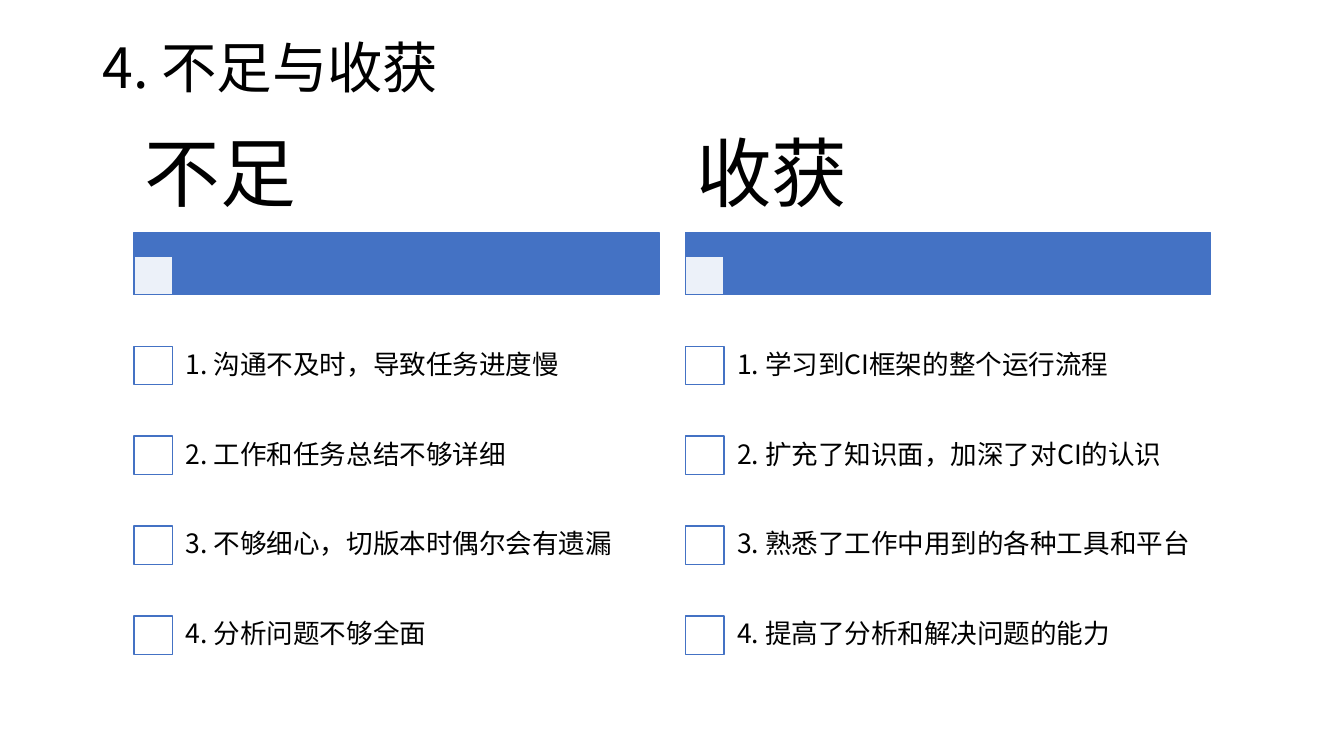
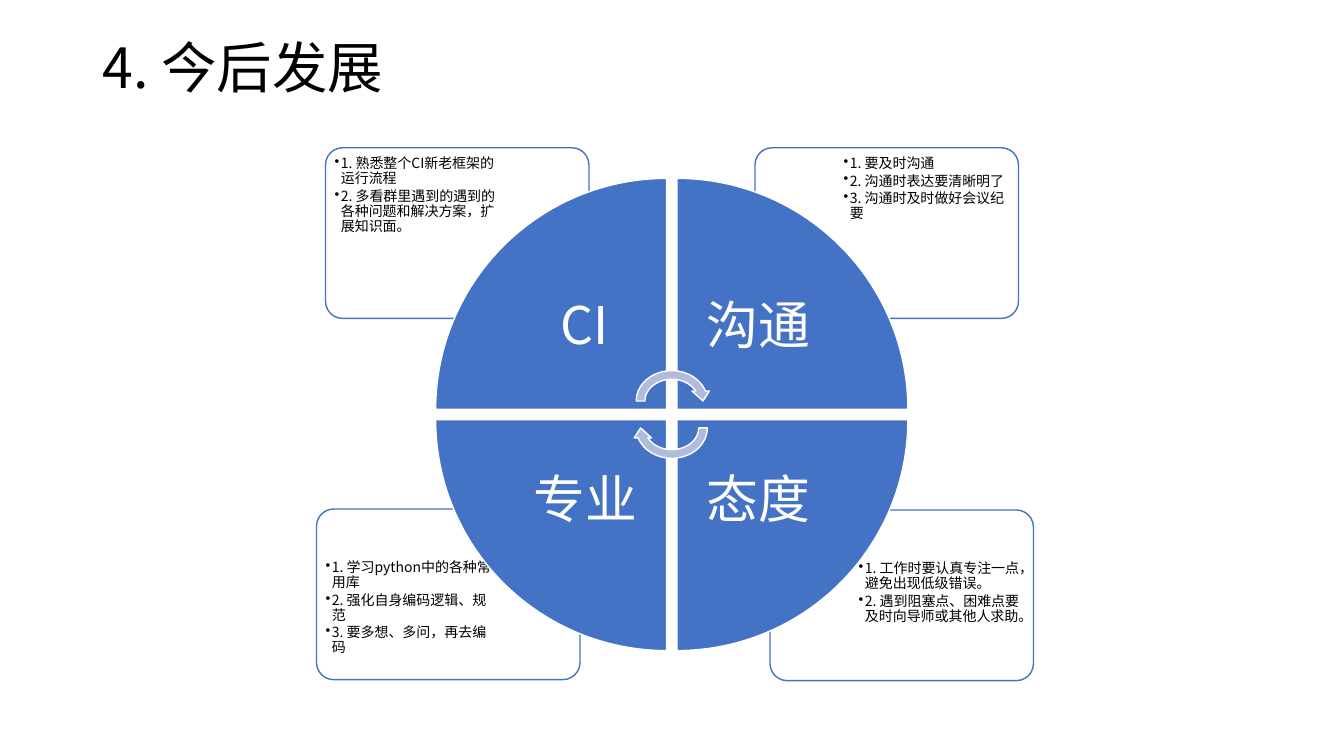
from pptx import Presentation
from pptx.dml.color import RGBColor
from pptx.enum.shapes import MSO_SHAPE as Preset
from pptx.enum.text import MSO_ANCHOR as Anchor, PP_ALIGN as Align
from pptx.oxml.ns import qn
from pptx.util import Pt
from lxml.etree import SubElement

COLORS = {"blue": "4472C4", "white": "FFFFFF", "black": "000000", "arrow": "B0BCDE"}
FONT = "Noto Sans CJK SC"


def add_shape(slide, preset, box, fill, line, opacity=100):
    shape = slide.shapes.add_shape(preset, *map(Pt, box))
    shape.shadow.inherit = False
    shape.fill.solid()
    shape.fill.fore_color.rgb = RGBColor.from_string(COLORS[fill])
    shape.line.color.rgb = RGBColor.from_string(COLORS[line])
    shape.line.width = Pt(1)
    if opacity < 100:
        color = shape.fill._xPr.find(qn("a:solidFill"))[0]
        SubElement(color, qn("a:alpha"), val=str(opacity * 1000))
    return shape


def add_text(slide, box, lines, size, insets, color="black",
             anchor=Anchor.MIDDLE, align=Align.LEFT, bullets=False):
    frame = slide.shapes.add_textbox(*map(Pt, box)).text_frame
    frame.word_wrap = True
    frame.vertical_anchor = anchor
    frame.margin_left = frame.margin_right = Pt(insets[0])
    frame.margin_top = frame.margin_bottom = Pt(insets[1])
    for index, line in enumerate(lines):
        paragraph = frame.paragraphs[0] if index == 0 else frame.add_paragraph()
        paragraph.alignment = align
        paragraph.line_spacing = 0.9
        properties = paragraph._p.get_or_add_pPr()
        properties.set("hangingPunct", "1")
        if bullets:
            paragraph.space_after = Pt(1.5)
            properties.set("marL", str(Pt(4.5)))
            properties.set("indent", str(Pt(-4.5)))
            SubElement(properties, qn("a:buChar"), char="•")
        run = paragraph.add_run()
        run.text = line
        run.font.size = Pt(size)
        run.font.name = FONT
        run.font.color.rgb = RGBColor.from_string(COLORS[color])
        SubElement(run._r.get_or_add_rPr(), qn("a:ea"), typeface=FONT)


def add_titled_slide(presentation, title):
    slide = presentation.slides.add_slide(presentation.slide_layouts[6])
    add_text(slide, (66.2, 28.8, 828, 42.5), [title], 39.6, (7.2, 3.6))
    return slide


def add_checklist(slide, box, heading, items):
    left, top, width, height = box
    heading_height, bar_height, square, row_height = 79.2, 44, 27.5, 64.2
    bar_top = top + heading_height
    bar_bottom = bar_top + bar_height
    # Heading and bar
    add_shape(slide, Preset.RECTANGLE, (left, bar_top, width, bar_height), "blue", "blue")
    add_shape(slide, Preset.RECTANGLE, (left, bar_bottom - square, square, square),
              "white", "blue", 90)
    add_text(slide, (left, top, width, heading_height), [heading], 54, (7.7, 5))
    # Rows fill the bottom of the box
    rows_top = top + height - row_height * len(items)
    for index, item in enumerate(items):
        row_top = rows_top + index * row_height
        add_shape(slide, Preset.RECTANGLE,
                  (left, row_top + (row_height - square) / 2, square, square), "white", "blue")
        add_text(slide, (left + 26.2, row_top, width - 26.2, row_height),
                 [item], 19, (10.7, 10.7))


def add_note(slide, box, lines, on_right, on_bottom):
    left, top, width, height = box
    shape = add_shape(slide, Preset.ROUNDED_RECTANGLE, box, "white", "blue", 90)
    shape.adjustments[0] = 0.1
    text_width, text_height = 126, 86.4
    text_left = left + width - text_width - 2.7 if on_right else left + 2.7
    text_top = top + height - text_height - 2.5 if on_bottom else top + 2.5
    add_text(slide, (text_left, text_top, text_width, text_height), lines, 10,
             (3.8, 3.8), anchor=Anchor.TOP, bullets=True)


def add_wheel(slide, box, labels):
    left, top, size, _ = box
    wedge, label_size = 165, 116.6
    step = size - wedge
    # Quarters, clockwise from the top left
    corners = [(0, 0), (1, 0), (1, 1), (0, 1)]
    for index, ((column, row), label) in enumerate(zip(corners, labels)):
        x, y = left + column * step, top + row * step
        shape = add_shape(slide, Preset.PIE_WEDGE, (x, y, wedge, wedge), "blue", "white")
        shape.rotation = 90 * index
        shift = wedge - label_size
        add_text(slide, (x + shift * (1 - column), y + shift * (1 - row),
                         label_size, label_size),
                 [label], 37, (20.9, 20.9), "white", align=Align.CENTER)
    # Turning arrows around the hub
    width, height = 57, 49.6
    center_x, center_y = left + size / 2, top + size / 2
    for offset, rotation in ((-9.6, 0), (9.6, 180)):
        arrow = add_shape(slide, Preset.CIRCULAR_ARROW,
                          (center_x - width / 2, center_y + offset - height / 2, width, height),
                          "arrow", "white")
        arrow.rotation = rotation


presentation = Presentation()
presentation.slide_width, presentation.slide_height = Pt(960), Pt(540)

# Shortcomings and gains
review = add_titled_slide(presentation, "4. 不足与收获")
CHECKLISTS = [
    ("不足", ["1. 沟通不及时，导致任务进度慢", "2. 工作和任务总结不够详细",
            "3. 不够细心，切版本时偶尔会有遗漏", "4. 分析问题不够全面"]),
    ("收获", ["1. 学习到CI框架的整个运行流程", "2. 扩充了知识面，加深了对CI的认识",
            "3. 熟悉了工作中用到的各种工具和平台", "4. 提高了分析和解决问题的能力"]),
]
for column, (heading, items) in enumerate(CHECKLISTS):
    add_checklist(review, (95.8 + column * 393.8, 87.1, 375, 398.7), heading, items)

# Future development
future = add_titled_slide(presentation, "4. 今后发展")
NOTES = [
    (550, 364.3, True, True, ["1. 工作时要认真专注一点，避免出现低级错误。",
                              "2. 遇到阻塞点、困难点要及时向导师或其他人求助。"]),
    (226.1, 363.6, False, True, ["1. 学习python中的各种常用库", "2. 强化自身编码逻辑、规范",
                                 "3. 要多想、多问，再去编码"]),
    (539.3, 105.6, True, False, ["1. 要及时沟通", "2. 沟通时表达要清晰明了",
                                 "3. 沟通时及时做好会议纪要"]),
    (232.5, 105.6, False, False, ["1. 熟悉整个CI新老框架的运行流程",
                                  "2. 多看群里遇到的遇到的各种问题和解决方案，扩展知识面。"]),
]
for left, top, on_right, on_bottom, lines in NOTES:
    add_note(future, (left, top, 188.2, 121.9), lines, on_right, on_bottom)
add_wheel(future, (311.2, 127.4, 337.3, 337.3), ["CI", "沟通", "态度", "专业"])

presentation.save("out.pptx")
